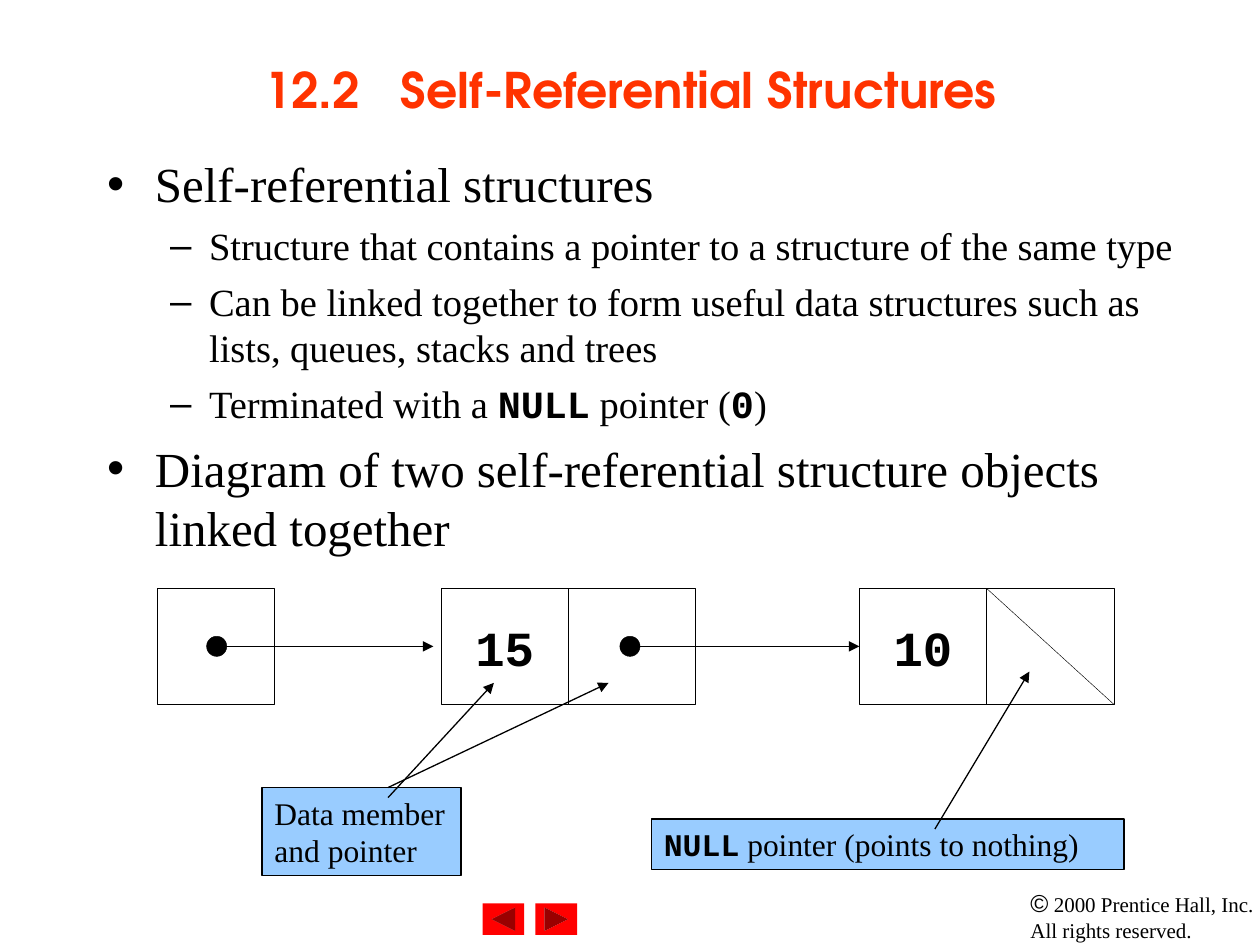
from pptx import Presentation
from pptx.dml.color import RGBColor
from pptx.enum.shapes import MSO_CONNECTOR, MSO_SHAPE
from pptx.enum.text import MSO_ANCHOR, MSO_AUTO_SIZE, PP_ALIGN
from pptx.oxml.ns import qn
from pptx.util import Inches, Pt
from lxml.etree import SubElement

BLACK, WHITE, BLUE, RED, ORANGE = "000000", "FFFFFF", "99CCFF", "FF0000", "FF3300"
SERIF, MONO = "Times New Roman", "Courier New"

deck = Presentation()
deck.slide_width, deck.slide_height = Inches(10), Inches(7.5)
page = deck.slides.add_slide(deck.slide_layouts[1])


def color(value):
    return RGBColor.from_string(value)


def add_spans(para, parts, size, ink=BLACK):
    """Add (text, font, bold) runs to a paragraph."""
    for text, name, bold in parts:
        span = para.add_run()
        span.text = text
        span.font.name, span.font.size, span.font.bold = name, Pt(size), bold
        span.font.color.rgb = color(ink)


# Title, with the gap after the number made by letter spacing
title = page.shapes.title
title.left, title.top, title.width, title.height = map(Inches, (0.75, 0.08, 8.5, 1.25))
title.text_frame.auto_size = MSO_AUTO_SIZE.NONE
title.text_frame.vertical_anchor = MSO_ANCHOR.MIDDLE
para = title.text_frame.paragraphs[0]
para.alignment = PP_ALIGN.CENTER
heading = ("12.2", " ", "Self-Referential Structures")
add_spans(para, [(text, "TeX Gyre Adventor", True) for text in heading], 28, ORANGE)
para.runs[1].font._element.set("spc", "1560")

# Bulleted list
body = page.placeholders[1]
body.left, body.top, body.width, body.height = map(Inches, (0.75, 1.17, 8.75, 5.92))
body.text_frame.auto_size = MSO_AUTO_SIZE.NONE
bullets = [
    (0, [("Self-referential structures", SERIF, False)]),
    (1, [("Structure that contains a pointer to a structure of the same type", SERIF, False)]),
    (1, [("Can be linked together to form useful data structures such as "
          "lists, queues, stacks and trees", SERIF, False)]),
    (1, [("Terminated with a ", SERIF, False), ("NULL", MONO, True),
         (" pointer (", SERIF, False), ("0", MONO, True), (")", SERIF, False)]),
    (0, [("Diagram of two self-referential structure objects linked together", SERIF, False)]),
]
level_styles = [(28, 7, 0.38, 0.38, "•"), (22, 5.5, 0.81, 0.31, "–")]
for index, (level, parts) in enumerate(bullets):
    size, before, margin, hanging, mark = level_styles[level]
    para = body.text_frame.add_paragraph() if index else body.text_frame.paragraphs[0]
    para.level = level
    para.space_before = Pt(before if index else 0)
    properties = para._p.get_or_add_pPr()
    properties.set("marL", str(Inches(margin)))
    properties.set("indent", str(-Inches(hanging)))
    SubElement(properties, qn("a:buChar")).set("char", mark)
    add_spans(para, parts, size)

# Structure cells: left, width, number
cell_top, cell_height = 4.67, 0.92
cells = []
for left, width, number in [(1.25, 0.93, ""), (3.5, 1.01, "15"), (4.51, 1.01, ""),
                            (6.82, 1.01, "10"), (7.83, 1.01, "")]:
    cell = page.shapes.add_shape(MSO_SHAPE.RECTANGLE, Inches(left), Inches(cell_top),
                                 Inches(width), Inches(cell_height))
    cell.shadow.inherit = False
    cell.fill.solid()
    cell.fill.fore_color.rgb = color(WHITE)
    cell.line.color.rgb = color(BLACK)
    cell.line.width = Pt(0.25)
    if number:
        cell.text_frame.vertical_anchor = MSO_ANCHOR.MIDDLE
        para = cell.text_frame.paragraphs[0]
        para.alignment = PP_ALIGN.CENTER
        add_spans(para, [(number, MONO, True)], 28)
    cells.append(cell)

# Pointer dots
for left in (1.64, 4.92):
    dot = page.shapes.add_shape(MSO_SHAPE.OVAL, Inches(left), Inches(5.05),
                                Inches(0.16), Inches(0.16))
    dot.shadow.inherit = False
    dot.fill.solid()
    dot.fill.fore_color.rgb = color(BLACK)
    dot.line.color.rgb = color(BLACK)
    dot.line.width = Pt(0.25)

# Labels
for place, parts in [
    ((5.17, 6.5, 3.75, 0.4), [("NULL", MONO, True), (" pointer (points to nothing)", SERIF, False)]),
    ((2.08, 6.25, 1.58, 0.7), [("Data member and pointer", SERIF, False)]),
]:
    label = page.shapes.add_shape(MSO_SHAPE.RECTANGLE, *map(Inches, place))
    label.shadow.inherit = False
    label.fill.solid()
    label.fill.fore_color.rgb = color(BLUE)
    label.line.color.rgb = color(BLACK)
    label.line.width = Pt(0.75)
    label.text_frame.word_wrap = True
    label.text_frame.vertical_anchor = MSO_ANCHOR.TOP
    para = label.text_frame.paragraphs[0]
    para.alignment = PP_ALIGN.LEFT
    add_spans(para, parts, 18)

# Links, the null diagonal and label arrows: ends, width, arrowhead, target cell
link_y = cell_top + cell_height / 2
for ends, width, arrow, target in [
    ((1.73, link_y, 3.44, link_y), 0.25, True, None),
    ((4.98, link_y, 6.82, link_y), 0.25, True, cells[3]),
    ((7.83, cell_top, 8.84, cell_top + cell_height), 0.25, False, None),
    ((7.42, 6.58, 8.17, 5.33), 0.75, True, None),
    ((3.08, 6.33, 3.92, 5.42), 0.75, True, None),
    ((3.08, 6.25, 4.83, 5.42), 0.75, True, None),
]:
    link = page.shapes.add_connector(MSO_CONNECTOR.STRAIGHT, *map(Inches, ends))
    link.line.color.rgb = color(BLACK)
    link.line.width = Pt(width)
    if arrow:
        SubElement(link.line._get_or_add_ln(), qn("a:tailEnd")).set("type", "triangle")
    SubElement(link._element.spPr, qn("a:effectLst"))
    if target:
        link.end_connect(target, 1)

# Navigation buttons; the left one is the same shape turned around
for left, rotation in ((3.83, 180), (4.25, 0)):
    button = page.shapes.add_shape(MSO_SHAPE.ACTION_BUTTON_FORWARD_OR_NEXT, Inches(left),
                                   Inches(7.17), Inches(0.33), Inches(0.25))
    button.rotation = rotation
    button.shadow.inherit = False
    button.fill.solid()
    button.fill.fore_color.rgb = color(RED)
    button.line.fill.background()

# Copyright line, using the full width up to the slide's edge
notice = page.shapes.add_textbox(Inches(8.08), Inches(7), Inches(1.92), Inches(0.5))
notice.text_frame.word_wrap = True
notice.text_frame.margin_right = Inches(0)
para = notice.text_frame.paragraphs[0]
add_spans(para, [("©", "Arial", False)], 14)
add_spans(para, [(" 2000 Prentice Hall, Inc.", SERIF, False)], 12)
para.add_line_break()
add_spans(para, [("All rights reserved.", SERIF, False)], 12)

deck.save("out.pptx")
